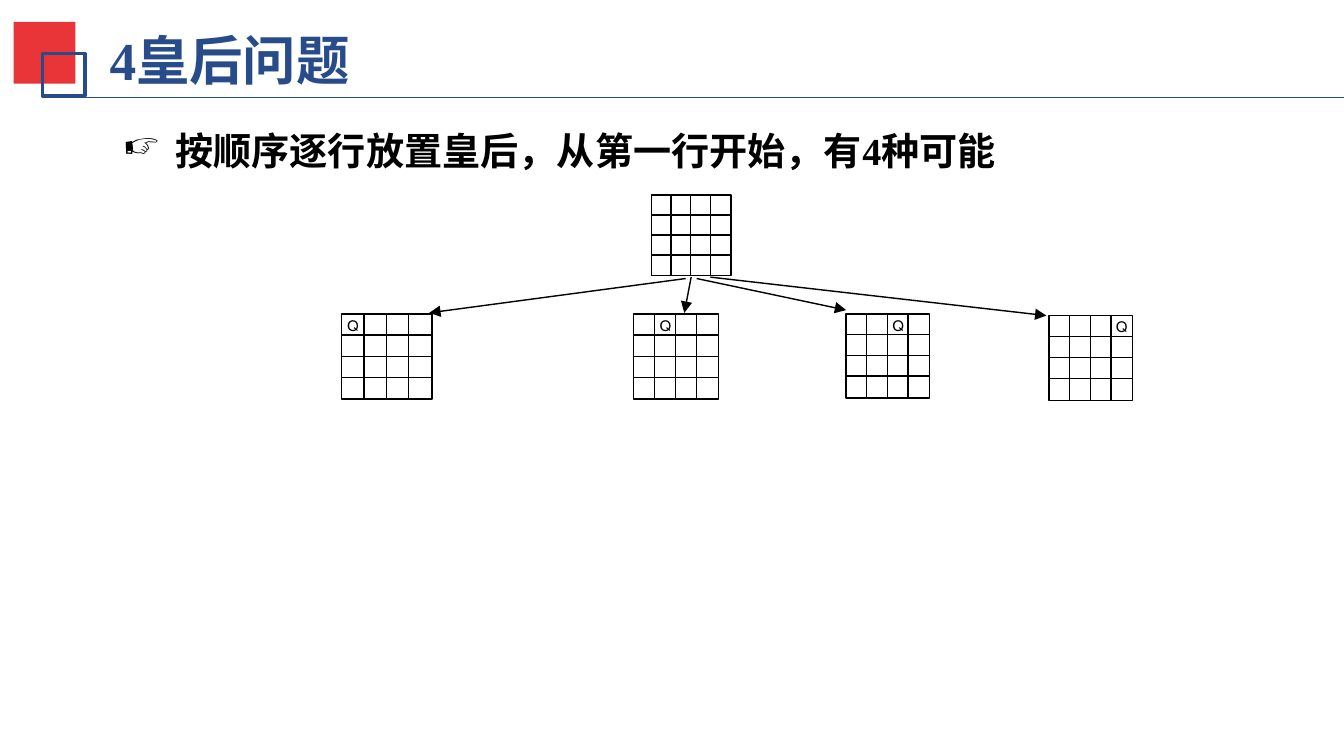
from lxml.etree import SubElement
from pptx import Presentation
from pptx.dml.color import RGBColor
from pptx.enum.shapes import MSO_CONNECTOR, MSO_SHAPE
from pptx.enum.text import MSO_ANCHOR, MSO_AUTO_SIZE, PP_ALIGN
from pptx.oxml.ns import qn
from pptx.util import Inches, Pt

BLUE = RGBColor(0x28, 0x4C, 0x8A)
RED = RGBColor(0xE9, 0x35, 0x38)
BLACK = RGBColor(0, 0, 0)
WHITE = RGBColor(0xFF, 0xFF, 0xFF)
SIZE = 4


def add_rect(shapes, x, y, w, h, fill=None, line=None, weight=0.75):
    sp = shapes.add_shape(MSO_SHAPE.RECTANGLE, Inches(x), Inches(y), Inches(w), Inches(h))
    sp.shadow.inherit = False
    if fill is None:
        sp.fill.background()
    else:
        sp.fill.solid()
        sp.fill.fore_color.rgb = fill
    if line is None:
        sp.line.fill.background()
    else:
        sp.line.color.rgb = line
        sp.line.width = Pt(weight)
    return sp


def add_line(shapes, x1, y1, x2, y2, color, arrow=False):
    cxn = shapes.add_connector(MSO_CONNECTOR.STRAIGHT, Inches(x1), Inches(y1), Inches(x2), Inches(y2))
    cxn.line.color.rgb = color
    cxn.line.width = Pt(0.75)
    if arrow:
        SubElement(cxn.line._get_or_add_ln(), qn("a:tailEnd"), type="triangle")
    SubElement(cxn._element.spPr, qn("a:effectLst"))


prs = Presentation()
prs.slide_width, prs.slide_height = Inches(9.8), Inches(5.51)
s = prs.slides.add_slide(prs.slide_layouts[6])

# Title with its squares and rule
title = s.shapes.add_textbox(Inches(0.73), Inches(0.16), Inches(6.91), Inches(0.55))
tf = title.text_frame
tf.word_wrap = True
tf.auto_size = MSO_AUTO_SIZE.SHAPE_TO_FIT_TEXT
tf.margin_left = tf.margin_right = Inches(0.07)
tf.margin_top = tf.margin_bottom = Inches(0.04)
tf.text = "4皇后问题"
font = tf.paragraphs[0].runs[0].font
font.name, font.size, font.bold = "Times New Roman", Pt(28), True
font.color.rgb = BLUE
add_rect(s.shapes, 0.1, 0.16, 0.45, 0.45, fill=RED)
add_rect(s.shapes, 0.31, 0.39, 0.31, 0.31, line=BLUE, weight=2)
add_line(s.shapes, 0.38, 0.71, 9.8, 0.71, BLUE)

# Arrows from the empty board to the four placements
for ends in [
    (5, 2.03, 3.13, 2.28),
    (5.04, 2.02, 4.99, 2.28),
    (5.08, 2.03, 6.17, 2.26),
    (5.18, 2.02, 7.63, 2.3),
]:
    add_line(s.shapes, *ends, BLACK, arrow=True)

# Boards: left, top, first-to-last cell distance across and down, cell size, queen column
boards = [
    (4.75, 1.42, 0.43, 0.44, 0.15, 0.15, None),
    (2.49, 2.29, 0.49, 0.46, 0.17, 0.16, 0),
    (4.62, 2.29, 0.46, 0.46, 0.16, 0.16, 1),
    (6.17, 2.29, 0.45, 0.45, 0.16, 0.16, 2),
    (7.65, 2.3, 0.45, 0.46, 0.16, 0.16, 3),
]
for left, top, span_x, span_y, cell_w, cell_h, queen in boards:
    board = s.shapes.add_group_shape()
    for row in range(SIZE):
        for col in range(SIZE):
            x = left + col * span_x / (SIZE - 1)
            y = top + row * span_y / (SIZE - 1)
            cell = add_rect(board.shapes, x, y, cell_w, cell_h, WHITE, BLACK)
            if row == 0 and col == queen:
                tf = cell.text_frame
                tf.word_wrap = False
                tf.vertical_anchor = MSO_ANCHOR.MIDDLE
                tf.text = "Q"
                p = tf.paragraphs[0]
                p.alignment = PP_ALIGN.CENTER
                font = p.runs[0].font
                font.name, font.size = "Cabin", Pt(8)
                font.color.rgb = BLACK

# Bullet sentence
body = s.shapes.add_textbox(Inches(0.8), Inches(0.81), Inches(7.88), Inches(0.49))
tf = body.text_frame
tf.word_wrap = True
tf.text = "按顺序逐行放置皇后，从第一行开始，有4种可能"
p = tf.paragraphs[0]
p.line_spacing = 1.2
p.space_before = Pt(6)
pPr = p._p.get_or_add_pPr()
pPr.set("marL", str(Inches(0.38)))
pPr.set("indent", str(-Inches(0.38)))
SubElement(pPr, qn("a:buSzPct"), val="95000")
SubElement(pPr, qn("a:buChar"), char="☞")
font = p.runs[0].font
font.name, font.size, font.bold = "Times New Roman", Pt(20), True
font.color.rgb = BLACK

prs.save("out.pptx")
